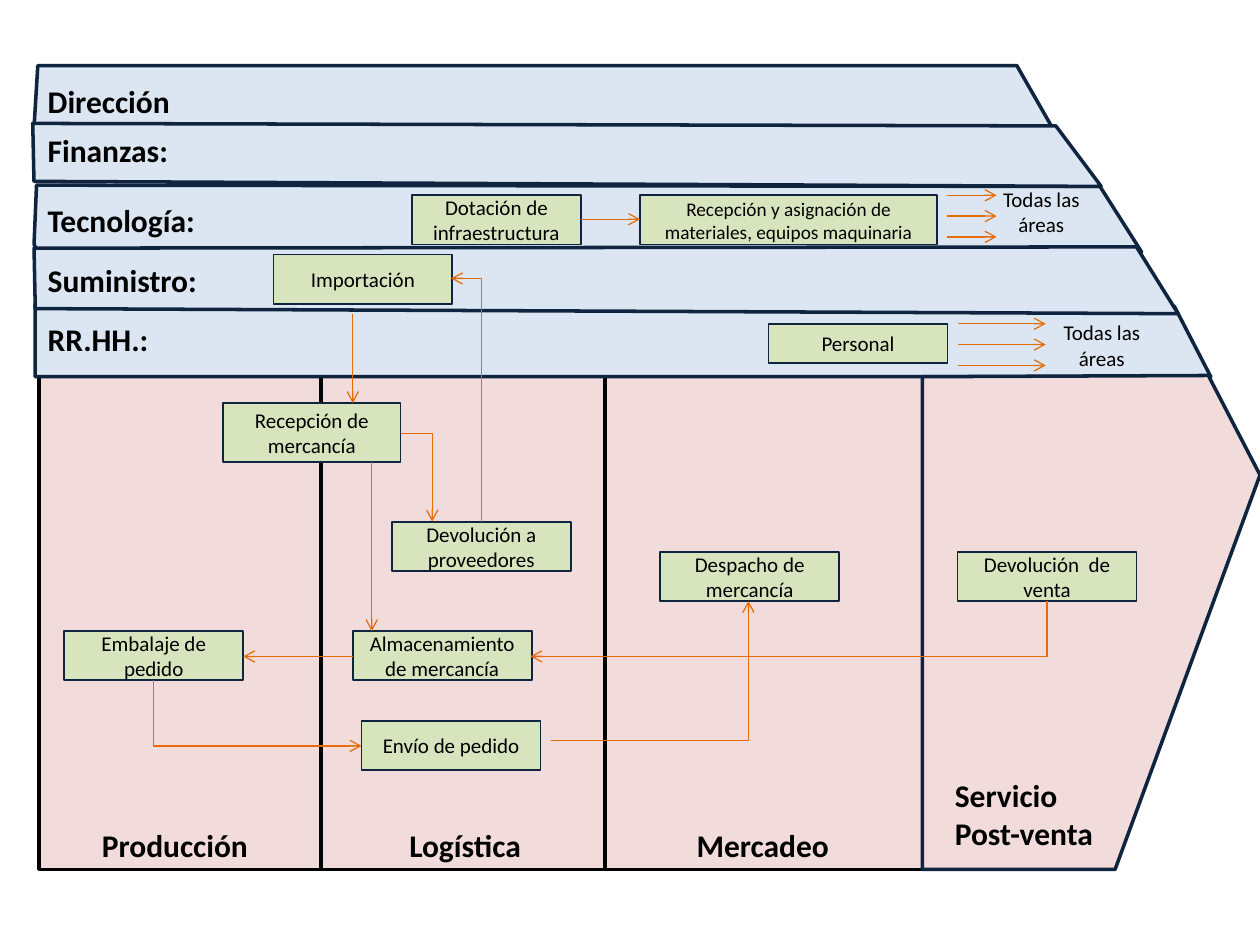
import pptx
import pptx.enum.shapes
import pptx.enum.text
import pptx.oxml
import pptx.oxml.ns
import pptx.util
from pptx.util import Inches

COLORS = {
    "support": "DCE6F2",
    "primary": "F2DCDB",
    "activity": "D7E4BD",
    "navy": "0F243E",
    "black": "000000",
    "flow": "E46C0A",
}
FONT = "Calibri"


def color(name):
    """Return the named palette colour."""
    return pptx.dml.color.RGBColor.from_string(COLORS[name])


def style_shape(shape, fill, line, width):
    """Give a shape a flat fill and an outline."""
    shape.shadow.inherit = False
    shape.fill.solid()
    shape.fill.fore_color.rgb = color(fill)
    shape.line.color.rgb = color(line)
    shape.line.width = pptx.util.Pt(width)


def write_text(shape, text, size, bold=False, centered=False):
    """Set and format the text of a shape."""
    shape.text_frame.text = text
    paragraph = shape.text_frame.paragraphs[0]
    if centered:
        paragraph.alignment = pptx.enum.text.PP_ALIGN.CENTER
    font = paragraph.runs[0].font
    font.name, font.size, font.bold = FONT, pptx.util.Pt(size), bold
    font.color.rgb = color("black")


def add_label(slide, text, left, top, width, height=0.4, size=18, wrap=False):
    """Add a bold heading, or a smaller centred note."""
    shape = slide.shapes.add_textbox(Inches(left), Inches(top), Inches(width), Inches(height))
    shape.text_frame.word_wrap = wrap
    heading = size == 18
    write_text(shape, text, size, bold=heading, centered=not heading)


def add_outline(slide, left, top, points, fill):
    """Draw a closed outline whose points are relative to left and top."""
    corners = [(Inches(left + x), Inches(top + y)) for x, y in points]
    builder = slide.shapes.build_freeform(*corners[0], scale=1.0)
    builder.add_line_segments(corners[1:], close=True)
    style_shape(builder.convert_to_shape(), fill, "navy", 2)


def add_support_bands(slide, left, top):
    """Draw the five stacked support bands and their headings."""
    bands = [
        (1.89, [(0.02, 0), (9.06, 0.02), (9.35, 0.58), (0.02, 0.58)]),
        (0.95, [(0.04, 0.53), (8.8, 0.53), (8.47, 0.01), (0.03, 0), (0.01, 0.47)]),
        (1.44, [(0.01, 0.01), (8.76, 0), (9.09, 0.53), (0.02, 0.49)]),
        (0, [(0.01, 0.49), (8.09, 0.49), (7.81, 0), (0.04, 0)]),
        (0.46, [(0, 0), (0.01, 0.46), (8.48, 0.5), (8.12, 0.02)]),
    ]
    for offset, points in bands:
        add_outline(slide, left, top + offset, points, "support")
    headings = [
        ("Dirección", 0.08, 1.18),
        ("Finanzas:", 0.47, 1.22),
        ("Tecnología:", 1.03, 1.44),
        ("Suministro:", 1.5, 1.45),
        ("RR.HH.:", 1.97, 1.01),
    ]
    for text, offset, width in headings:
        add_label(slide, text, left + 0.02, top + offset, width)


def add_primary_columns(slide, left, top, height):
    """Draw the three rectangular columns with headings at their feet."""
    columns = [
        ("Producción", 0, 2.28, 0.4, 1.37),
        ("Logística", 2.24, 2.33, 2.84, 1.1),
        ("Mercadeo", 4.49, 2.52, 5.12, 1.26),
    ]
    for _, offset, width, _, _ in columns:
        shape = slide.shapes.add_shape(
            pptx.enum.shapes.MSO_SHAPE.RECTANGLE,
            Inches(left + offset), Inches(top), Inches(width), Inches(height))
        style_shape(shape, "primary", "black", 2)
    for text, _, _, offset, width in columns:
        add_label(slide, text, left + offset, top + height - 0.39, width)


def add_service_tip(slide, left, top):
    """Draw the pointed after-sales column and its heading."""
    points = [(0, 3.92), (1.53, 3.92), (2.68, 0.79), (2.27, 0), (0, 0.01)]
    add_outline(slide, left, top, points, "primary")
    add_label(slide, "Servicio Post-venta", left + 0.16, top + 3.13, 1.34, 0.71, wrap=True)


def add_activity(slide, text, left, top, width=1.42, height=0.39, size=12):
    """Add one green activity box."""
    shape = slide.shapes.add_shape(
        pptx.enum.shapes.MSO_SHAPE.RECTANGLE,
        Inches(left), Inches(top), Inches(width), Inches(height))
    style_shape(shape, "activity", "navy", 1)
    shape.text_frame.word_wrap = True
    shape.text_frame.vertical_anchor = pptx.enum.text.MSO_ANCHOR.MIDDLE
    write_text(shape, text, size, centered=True)


def add_arrow(slide, start, end, bent=False, arrow_end="tailEnd"):
    """Add a straight arrow, or one that leaves start sideways and turns once."""
    kinds = pptx.enum.shapes.MSO_CONNECTOR
    connector = slide.shapes.add_connector(
        kinds.ELBOW if bent else kinds.STRAIGHT,
        *(Inches(value) for value in (*start, *end)))
    connector.line.color.rgb = color("flow")
    connector.line.width = pptx.util.Pt(0.75)
    properties = connector._element.spPr
    if bent:
        properties.find(pptx.oxml.ns.qn("a:prstGeom")).set("prst", "bentConnector2")
    namespace = pptx.oxml.ns.nsdecls("a")
    connector.line._get_or_add_ln().append(
        pptx.oxml.parse_xml(f'<a:{arrow_end} {namespace} type="arrow"/>'))
    properties.append(pptx.oxml.parse_xml(f"<a:effectLst {namespace}/>"))


def add_all_areas(slide, left, top, length, note_left, note_top):
    """Add three parallel arrows and the note on where they lead."""
    add_label(slide, "Todas las áreas", note_left, note_top, 0.87, 0.5, size=12, wrap=True)
    for row in range(3):
        y = top + row * 0.165
        add_arrow(slide, (left, y), (left + length, y))


def add_process(slide):
    """Place the activities and the flows between them."""
    activities = [
        ("Dotación de infraestructura", 3.27, 1.55, 1.34),
        ("Recepción y asignación de materiales, equipos maquinaria", 5.08, 1.55, 2.36, 0.39, 11),
        ("Importación", 2.17, 2.02),
        ("Personal", 6.1, 2.57, 1.42, 0.31),
        ("Despacho de mercancía", 5.24, 4.38),
        ("Devolución  de venta", 7.6, 4.38),
        ("Embalaje de pedido", 0.51, 5.01),
        ("Envío de pedido", 2.87, 5.72),
        ("Devolución a proveedores", 3.11, 4.14),
        ("Recepción de mercancía", 1.77, 3.2, 1.41, 0.47),
        ("Almacenamiento de mercancía", 2.8, 5.01),
    ]
    for activity in activities:
        add_activity(slide, *activity)
    add_all_areas(slide, 7.52, 1.55, 0.39, 7.83, 1.43)
    add_all_areas(slide, 7.6, 2.57, 0.7, 8.31, 2.49)
    flows = [
        ((4.61, 1.74), (5.08, 1.74)),
        ((2.8, 2.49), (2.8, 3.2)),
        ((2.95, 3.67), (2.95, 5.01)),
        ((2.8, 5.21), (1.93, 5.21)),
        ((3.18, 3.44), (3.43, 4.14), True),
        ((3.58, 2.21), (3.82, 4.14), True, "headEnd"),
        ((2.87, 5.92), (1.22, 5.4), True, "headEnd"),
        ((4.37, 5.88), (5.94, 4.77), True),
        ((4.21, 5.21), (8.31, 4.77), True, "headEnd"),
    ]
    for flow in flows:
        add_arrow(slide, *flow)


def main():
    """Build the value chain slide and save it."""
    presentation = pptx.Presentation()
    presentation.slide_width, presentation.slide_height = Inches(10), Inches(7.5)
    slide = presentation.slides.add_slide(presentation.slide_layouts[6])
    add_primary_columns(slide, 0.31, 2.96, 3.94)
    add_support_bands(slide, 0.26, 0.52)
    add_service_tip(slide, 7.32, 2.98)
    add_process(slide)
    presentation.save("out.pptx")


if __name__ == "__main__":
    main()
